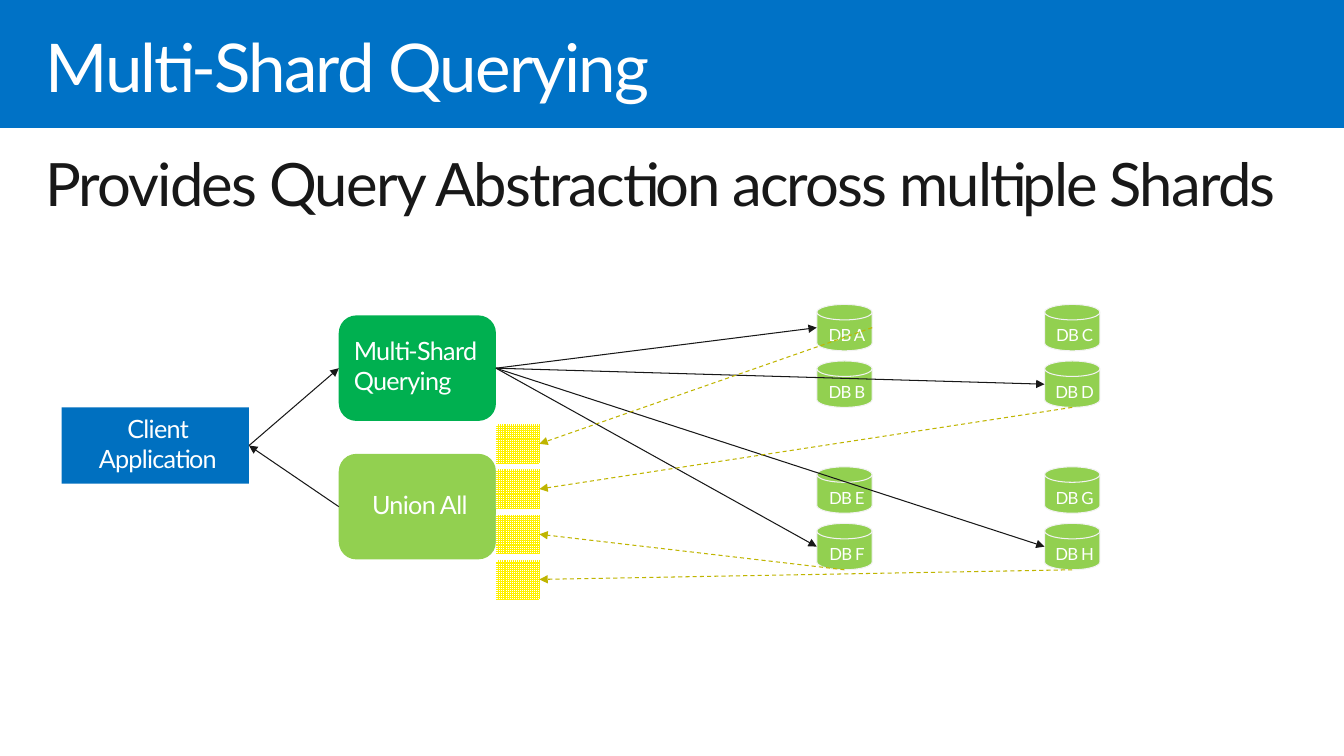
from lxml import etree
from pptx import Presentation
from pptx.dml.color import RGBColor
from pptx.enum.dml import MSO_LINE, MSO_PATTERN
from pptx.enum.shapes import MSO_CONNECTOR, MSO_SHAPE
from pptx.enum.text import MSO_ANCHOR, MSO_AUTO_SIZE, PP_ALIGN
from pptx.oxml.ns import qn
from pptx.shapes.autoshape import Shape
from pptx.util import Pt

RECT, ROUND, DISK = (MSO_SHAPE.RECTANGLE, MSO_SHAPE.ROUNDED_RECTANGLE,
                     MSO_SHAPE.FLOWCHART_MAGNETIC_DISK)
STRAIGHT = MSO_CONNECTOR.STRAIGHT
DASH, GRID = MSO_LINE.DASH, MSO_PATTERN.SMALL_GRID
LEFT, CENTER = PP_ALIGN.LEFT, PP_ALIGN.CENTER
TOP, MIDDLE, BOTTOM = MSO_ANCHOR.TOP, MSO_ANCHOR.MIDDLE, MSO_ANCHOR.BOTTOM
NO_AUTOFIT = MSO_AUTO_SIZE.NONE
LEFT_SIDE, RIGHT_SIDE = 1, 3
TITLE_ONLY_LAYOUT = 5

INSETS = (7.2, 3.6, 3.6, 7.2)
DISK_WIDTH, DISK_HEIGHT = 39.6, 33.1


def color(hex_string):
    return RGBColor.from_string(hex_string)


class SlideBuilder:
    font = "Lato"
    white, ink, olive, yellow = "FFFFFF", "181818", "BFB500", "FFF100"
    band_blue, box_blue = "0072C6", "0070C0"
    green, lime, pale = "00B050", "92D050", "F2F2F2"

    def __init__(self, page):
        self.page = page

    def put_text(self, box, text, size=18, ink=white, align=CENTER, anchor=MIDDLE,
                 insets=INSETS, spacing=-0.5, line_spacing=None, wrap=True):
        frame = box.text_frame
        frame.auto_size = NO_AUTOFIT
        frame.word_wrap = wrap
        frame.vertical_anchor = anchor
        (frame.margin_left, frame.margin_top,
         frame.margin_right, frame.margin_bottom) = map(Pt, insets)
        para = frame.paragraphs[0]
        para.alignment = align
        if line_spacing:
            para.line_spacing = line_spacing
        span = para.add_run()
        span.text = text
        span.font.name = self.font
        span.font.size = Pt(size)
        span.font.color.rgb = color(ink)
        span._r.get_or_add_rPr().set("spc", str(round(spacing * 100)))

    def heading(self, box, text, **style):
        self.put_text(box, text, align=LEFT, anchor=TOP, insets=(0, 0, 0, 0),
                      spacing=-1.3, **style)

    def title(self, text, *place):
        box = self.page.shapes.title
        box.left, box.top, box.width, box.height = map(Pt, place)
        self.heading(box, text, size=48, line_spacing=0.9)

    def subtitle(self, text, *place):
        box = self.page.shapes.add_textbox(*map(Pt, place))
        self.heading(box, text, size=42.7, ink=self.ink, line_spacing=0.8)

    def shape(self, kind, place, fill, text=None, outline=None, **style):
        box = self.page.shapes.add_shape(kind, *map(Pt, place))
        box.shadow.inherit = False
        box.fill.solid()
        box.fill.fore_color.rgb = color(fill)
        if outline:
            box.line.color.rgb = color(outline)
            box.line.width = Pt(0.75)
        else:
            box.line.fill.background()
        if text:
            self.put_text(box, text, **style)
        return box

    def band(self, *place):
        """Add the title band behind the title."""
        box = self.shape(RECT, place, self.band_blue)
        self.page.shapes.title._element.addprevious(box._element)

    def result_grid(self, *place):
        box = self.shape(RECT, place, self.yellow)
        box.fill.patterned()
        box.fill.pattern = GRID
        box.fill.fore_color.rgb = color(self.yellow)
        box.fill.back_color.rgb = color(self.white)
        return box

    def database(self, name, left, top):
        return self.shape(DISK, (left, top, DISK_WIDTH, DISK_HEIGHT), self.lime,
                          f"DB {name}", outline=self.pale, size=12, anchor=TOP,
                          wrap=False)

    def arrow(self, start, end, ink=ink, dash=None):
        """Draw an arrow; each end is a point or a (box, side) pair."""
        joined = [isinstance(place[0], Shape) for place in (start, end)]
        points = [(0, 0) if join else place
                  for join, place in zip(joined, (start, end))]
        line = self.page.shapes.add_connector(STRAIGHT, *points[0], *points[1])
        if joined[0]:
            line.begin_connect(*start)
        if joined[1]:
            line.end_connect(*end)
        line.line.color.rgb = color(ink)
        line.line.width = Pt(0.75)
        if dash:
            line.line.dash_style = dash
        properties = line._element.spPr
        etree.SubElement(properties.find(qn("a:ln")), qn("a:tailEnd"), type="triangle")
        etree.SubElement(properties, qn("a:effectLst"))


def left_middle(box):
    return box.left, box.top + box.height // 2


def right_middle(box):
    return box.left + box.width, box.top + box.height // 2


def bottom_middle(box):
    return box.left + box.width // 2, box.top + box.height


def main():
    deck = Presentation()
    deck.slide_width, deck.slide_height = Pt(960), Pt(540)
    page = deck.slides.add_slide(deck.slide_layouts[TITLE_ONLY_LAYOUT])
    build = SlideBuilder(page)

    build.title("Multi-Shard Querying", 32.4, 24.5, 878.4, 52.6)
    build.band(0, 0, 960, 91.3)
    build.subtitle("Provides Query Abstraction across multiple Shards",
                   32.4, 114.5, 895.7, 41)

    databases = {}
    for column, names in enumerate(("ABEF", "CDGH")):
        for row, name in enumerate(names):
            pair, member = divmod(row, 2)
            databases[name] = build.database(
                name, 583.4 + 162.7 * column, 217.5 + 116 * pair + 40.4 * member)

    query = build.shape(ROUND, (242, 225.3, 112.3, 75.4), build.green,
                        "Multi-Shard Querying", align=LEFT)
    union = build.shape(ROUND, (242, 324.2, 112.3, 75.4), build.lime, "Union All")
    client = build.shape(RECT, (44, 291, 133.9, 54.5), build.box_blue,
                         "Client Application", anchor=BOTTOM)

    for name in "ADFH":
        build.arrow((query, RIGHT_SIDE), left_middle(databases[name]))

    sources = (right_middle(databases["A"]),
               *(bottom_middle(databases[name]) for name in "DFH"))
    for row, source in enumerate(sources):
        grid = build.result_grid(354.3, 303 + 32.3 * row, 31, 28)
        build.arrow(source, (grid, RIGHT_SIDE), ink=build.olive, dash=DASH)

    build.arrow((client, RIGHT_SIDE), (query, LEFT_SIDE))
    build.arrow((union, LEFT_SIDE), (client, RIGHT_SIDE))

    deck.save("out.pptx")


if __name__ == "__main__":
    main()
